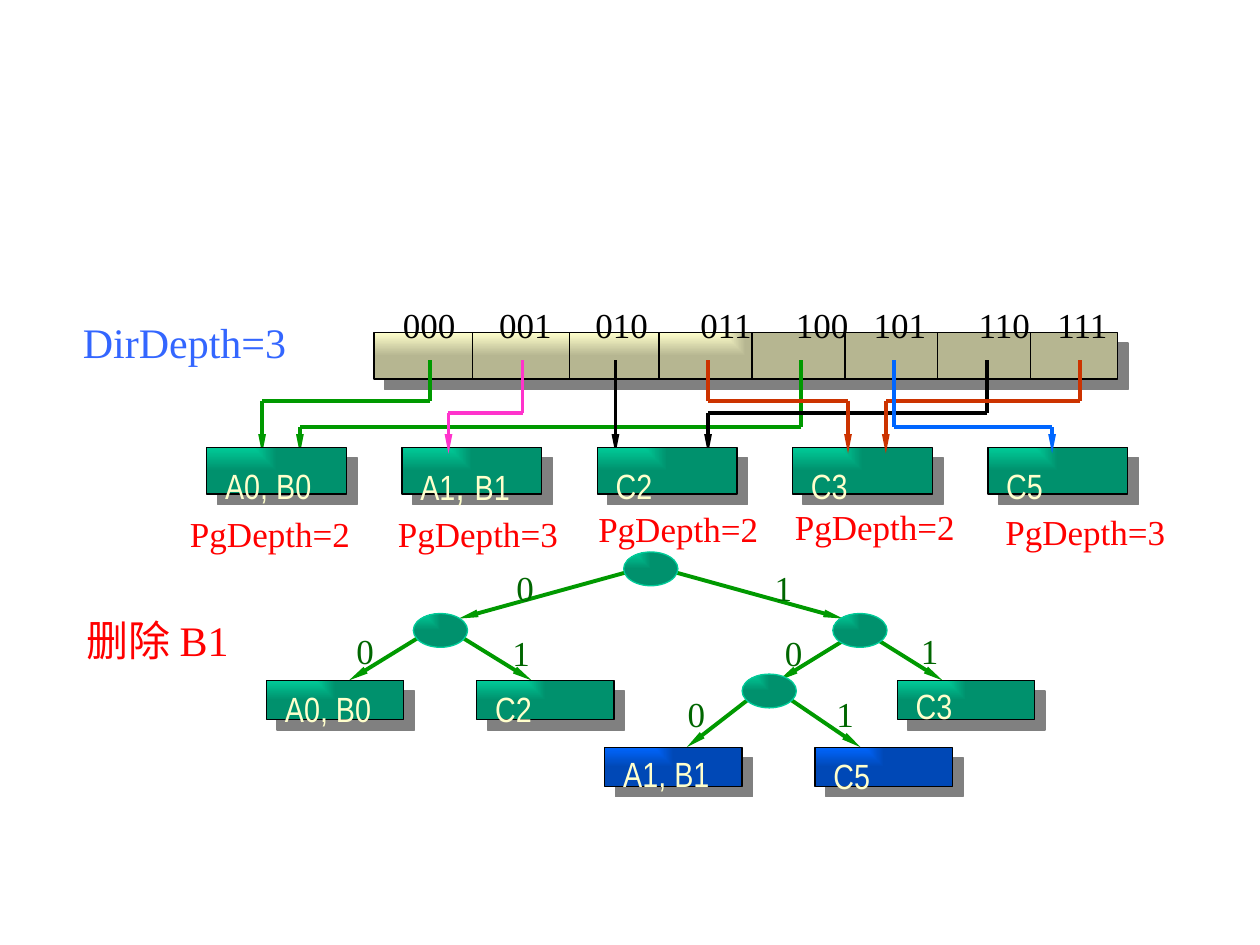
from lxml.etree import SubElement
from pptx import Presentation
from pptx.dml.color import RGBColor
from pptx.enum.shapes import MSO_CONNECTOR as CONNECTOR, MSO_SHAPE as SHAPE
from pptx.enum.text import MSO_AUTO_SIZE as AUTO_SIZE, PP_ALIGN as ALIGN
from pptx.oxml import parse_xml
from pptx.oxml.ns import nsdecls, qn
from pptx.util import Pt

BLACK = RGBColor(0x00, 0x00, 0x00)
RED = RGBColor(0xFF, 0x00, 0x00)
CREAM = RGBColor(0xFF, 0xFF, 0xCC)
TEAL = RGBColor(0x00, 0xCC, 0x99)
GREEN = RGBColor(0x00, 0x99, 0x00)
DARK_GREEN = RGBColor(0x00, 0x66, 0x00)
ORANGE = RGBColor(0xCC, 0x33, 0x00)
BLUE = RGBColor(0x00, 0x66, 0xFF)
SOFT_BLUE = RGBColor(0x33, 0x66, 0xFF)
PINK = RGBColor(0xFF, 0x33, 0xCC)
GREY = RGBColor(0x80, 0x80, 0x80)
SERIF, NARROW = "Times New Roman", "Arial Narrow"


class Diagram:
    """Draws styled elements on one slide; all lengths are points."""

    def __init__(self, slide):
        """Keep the slide to draw on."""
        self.slide = slide

    def shape(self, kind, x, y, w, h, color, outline):
        """Add a shape shaded from its top left corner."""
        shape = self.slide.shapes.add_shape(kind, Pt(x), Pt(y), Pt(w), Pt(h))
        shape.fill.background()
        props = shape._element.spPr
        props.replace(props.find(qn("a:noFill")), parse_xml(
            f'<a:gradFill {nsdecls("a")} rotWithShape="0"><a:gsLst>'
            f'<a:gs pos="0"><a:srgbClr val="{color}"/></a:gs>'
            f'<a:gs pos="100000"><a:srgbClr val="{color}"><a:shade val="46275"/>'
            '</a:srgbClr></a:gs></a:gsLst><a:path path="rect">'
            '<a:fillToRect r="100000" b="100000"/></a:path></a:gradFill>'))
        shape.line.color.rgb = outline
        shape.line.width = Pt(0.75)
        shape.shadow.inherit = False
        return shape

    def box(self, x, y, w, h, color):
        """Add a rectangle with a hard grey shadow."""
        box = self.shape(SHAPE.RECTANGLE, x, y, w, h, color, BLACK)
        effects = box._element.spPr.find(qn("a:effectLst"))
        shadow = SubElement(effects, qn("a:outerShdw"), dist=str(Pt(8.5)),
                            dir="2700000", algn="ctr", rotWithShape="0")
        SubElement(shadow, qn("a:srgbClr"), val=str(GREY))

    def node(self, x, y):
        """Add an inner node of the tree."""
        self.shape(SHAPE.OVAL, x, y, 31, 19.3, TEAL, TEAL)

    def line(self, start, end, color=GREEN, width=2.25, arrow=False):
        """Add a straight line, with an arrowhead at its end if asked."""
        line = self.slide.shapes.add_connector(
            CONNECTOR.STRAIGHT, *map(Pt, start), *map(Pt, end))
        line.line.color.rgb = color
        line.line.width = Pt(width)
        if arrow:
            SubElement(line.line._get_or_add_ln(), qn("a:tailEnd"),
                       type="triangle", w="sm", len="lg")
        SubElement(line._element.spPr, qn("a:effectLst"))

    def route(self, start_x, bus_y, end_x, color):
        """Lead from a directory slot along a bus down to a page."""
        points = [(start_x, 206), (start_x, bus_y), (end_x, bus_y), (end_x, 259.2)]
        if start_x == end_x:
            points = [points[0], points[-1]]
        for start, end in zip(points, points[1:]):
            self.line(start, end, color, arrow=end is points[-1])

    def text(self, words, x, y, w, h, color, font=SERIF, size=20, wrap=False):
        """Add a text box and return its paragraph; words is text or (text, size) runs."""
        area = self.slide.shapes.add_textbox(Pt(x), Pt(y), Pt(w), Pt(h))
        frame = area.text_frame
        frame.word_wrap = wrap
        frame.auto_size = AUTO_SIZE.SHAPE_TO_FIT_TEXT
        paragraph = frame.paragraphs[0]
        paragraph.font.name = font
        paragraph.font.size = Pt(size)
        paragraph.font.color.rgb = color
        for part, part_size in [(words, size)] if isinstance(words, str) else words:
            run = paragraph.add_run()
            run.text = part
            if part_size != size:
                run.font.size = Pt(part_size)
        return paragraph

    def keys(self, words, x, y):
        """Add the keys that a page holds."""
        self.text(words, x, y, 35.3 if len(words) == 2 else 65.5, 31, CREAM, NARROW)


def draw_directory(diagram):
    """Draw the directory, its slots and their addresses."""
    diagram.box(213.8, 190, 424.8, 26.7, CREAM)
    addresses = diagram.text("\t".join(f"{slot:03b}" for slot in range(8)),
                             223.2, 170, 424.8, 31, BLACK, wrap=True)
    tabs = SubElement(addresses._p.get_or_add_pPr(), qn("a:tabLst"))
    defaults = addresses._p.pPr.find(qn("a:defRPr"))
    defaults.addprevious(tabs)
    for stop in (55, 110, 170, 224.5, 269, 329, 374):
        SubElement(tabs, qn("a:tab"), pos=str(Pt(stop)), algn="l")
    for x in [270, 325.4] + [376.6 + 53.1 * i for i in range(5)]:
        diagram.line((x, 190), (x, 217), BLACK, 0.75)
    diagram.text("DirDepth=3", 40.3, 177.1, 148.3, 36, SOFT_BLUE, size=24, wrap=True)


def draw_pages(diagram):
    """Draw the pages and the routes that reach them."""
    slots = [245.5 + 53.1 * i for i in range(8)]
    upper, middle, lower = 229, 236.2, 244.1
    for slot, bus, end, color in [
            (0, upper, 149.8, GREEN), (4, lower, 171.4, GREEN),
            (2, middle, slots[2], BLACK), (6, middle, 404.6, BLACK)]:
        diagram.route(slots[slot], bus, end, color)
    pages = [("A0, B0", 262.1, 2, 101.5, 292.3),
             ((("A1", 20), (", ", 24), ("B1", 20)), 258.5, 3, 220.3, 292.3),
             ("C2", 262.1, 2, 334.8, 289.4),
             ("C3", 262.1, 2, 447.1, 288),
             ("C5", 262.1, 3, 567.4, 290.9)]
    for i, (keys, keys_y, depth, depth_x, depth_y) in enumerate(pages):
        x = 118.1 + 111.6 * i
        diagram.box(x, 255.6, 79.9, 26.7, TEAL)
        diagram.keys(keys, x + 3.4, keys_y)
        caption = diagram.text(f"PgDepth={depth}", depth_x, depth_y, 110.2, 28.8, RED)
        caption.line_spacing = 0.9
    for slot, bus, end, color in [
            (3, upper, 484.6, ORANGE), (7, upper, 506.2, ORANGE),
            (5, lower, 601.2, BLUE), (1, middle, 256.3, PINK)]:
        diagram.route(slots[slot], bus, end, color)


def draw_tree(diagram):
    """Draw the binary tree of address bits."""
    branches = [((366.5, 324.7), (262.1, 353.5)), ((377.3, 324.7), (481.7, 353.5)),
                ((246.2, 360), (199.4, 388.8)), ((251.3, 356.4), (303.8, 388.8)),
                ((491.8, 360), (445, 388.8)), ((486.7, 356.4), (538.6, 388.8)),
                ((434.2, 394.6), (392.4, 427)), ((439.9, 391.7), (491.8, 427))]
    for start, end in branches:
        diagram.line(start, end, arrow=True)
    for x, y in [(356.4, 315.4), (236.2, 350.6), (475.9, 350.6), (424.1, 385.2)]:
        diagram.node(x, y)
    for keys, x, y, keys_y, color in [
            ("A0, B0", 152.3, 388.8, 389.5, TEAL), ("C2", 272.4, 388.8, 389.5, TEAL),
            ("C3", 512.7, 388.8, 387.4, TEAL), ("A1, B1", 345.6, 427, 426.2, BLUE),
            ("C5", 465.8, 427, 427.7, BLUE)]:
        diagram.box(x, y, 78.5, 22.3, color)
        diagram.keys(keys, x + 3.4, keys_y)
    for bit, x, y in [("0", 288, 320.4), ("1", 435.6, 320.4), ("0", 196.6, 356.4),
                      ("1", 285.8, 357.1), ("0", 441.4, 357.1), ("1", 519.1, 356.4),
                      ("0", 385.9, 392.4), ("1", 470.9, 392.4)]:
        diagram.text(bit, x, y, 24.5, 31, DARK_GREEN)
    action = diagram.text("删除 B1", 0, 347.8, 180, 36, RED, size=24, wrap=True)
    action.alignment = ALIGN.CENTER


def main():
    """Build the slide and save it."""
    deck = Presentation()
    deck.slide_width, deck.slide_height = Pt(720), Pt(540)
    diagram = Diagram(deck.slides.add_slide(deck.slide_layouts[6]))
    draw_directory(diagram)
    draw_pages(diagram)
    draw_tree(diagram)
    deck.save("out.pptx")


main()
